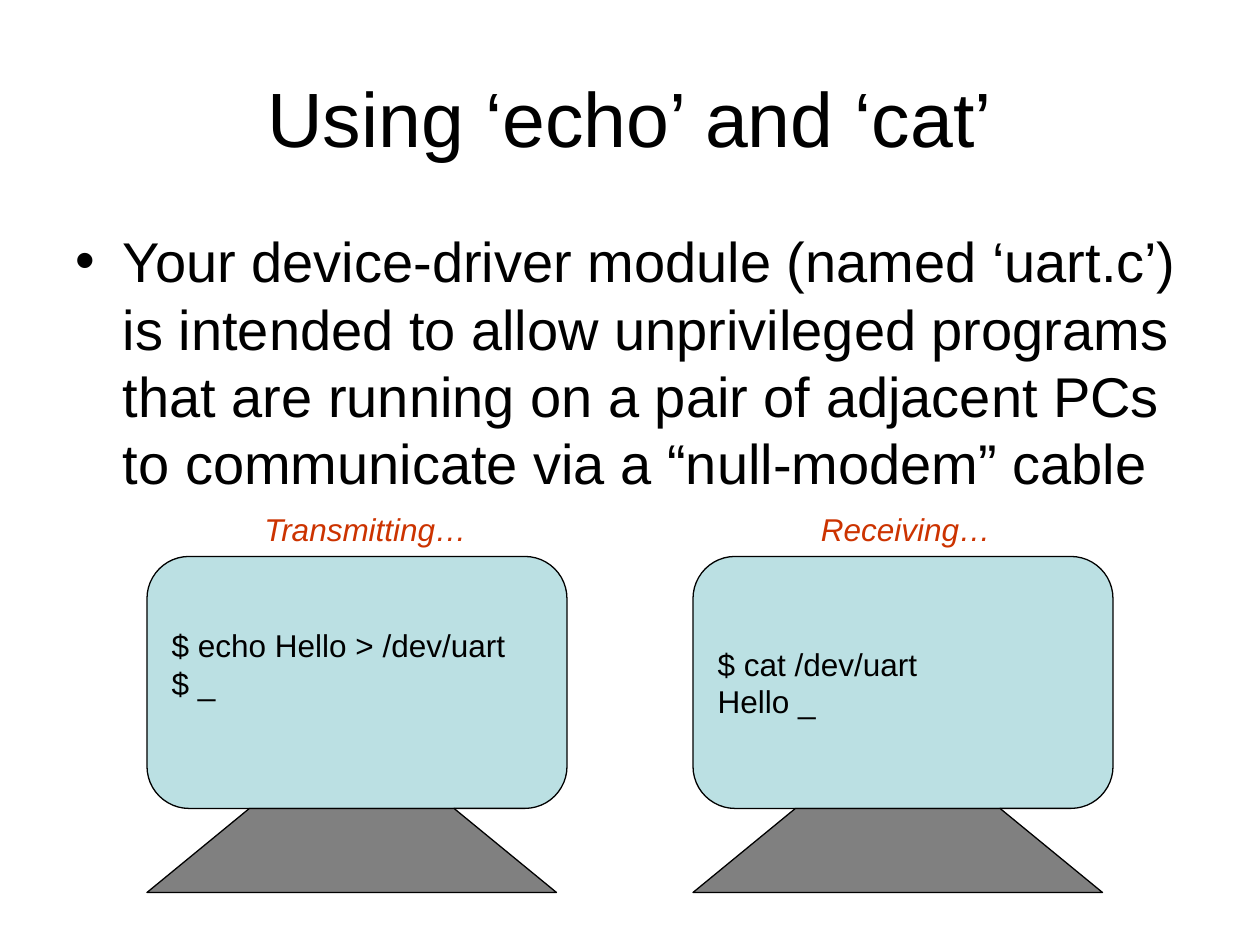
from pptx import Presentation
from pptx.dml.color import RGBColor
from pptx.enum.shapes import MSO_SHAPE as Shape
from pptx.enum.text import MSO_ANCHOR as Anchor, MSO_AUTO_SIZE as AutoSize, PP_ALIGN as Align
from pptx.util import Pt

COLORS = {"text": "000000", "label": "CC3300", "screen": "BBE0E3", "stand": "808080"}
SCREEN_TOP, SCREEN_WIDTH, SCREEN_HEIGHT = 318, 240, 144
STAND_WIDTH, STAND_HEIGHT = 234, 48
LABEL_TOP, LABEL_HEIGHT = 288, 29
COMPUTERS = [
    (84, "Transmitting…", 144, 131, ["$ echo Hello > /dev/uart", "$ _"], 24.3),
    (396, "Receiving…", 462, 112, ["$ cat /dev/uart", "Hello _"], 3.6),
]


def color(name):
    return RGBColor.from_string(COLORS[name])


def write(shape, lines, size, shade="text", align=Align.LEFT, italic=False):
    frame = shape.text_frame
    frame.text = "\n".join(lines)
    for para in frame.paragraphs:
        para.alignment = align
        para.space_before = Pt(0)
        for span in para.runs:
            span.font.name = "Arial"
            span.font.size = Pt(size)
            span.font.italic = italic
            span.font.color.rgb = color(shade)


def fill_placeholder(box, text, size, place, align, anchor):
    box.left, box.top, box.width, box.height = (Pt(value) for value in place)
    box.text_frame.auto_size = AutoSize.NONE
    box.text_frame.vertical_anchor = anchor
    write(box, [text], size, align=align)


def paint(shape, fill):
    shape.shadow.inherit = False
    shape.fill.solid()
    shape.fill.fore_color.rgb = color(fill)
    shape.line.color.rgb = color("text")
    shape.line.width = Pt(0.75)


def add_screen(page, left, lines, bottom_margin):
    screen = page.shapes.add_shape(
        Shape.ROUNDED_RECTANGLE, Pt(left), Pt(SCREEN_TOP), Pt(SCREEN_WIDTH), Pt(SCREEN_HEIGHT)
    )
    screen.adjustments[0] = 0.167
    paint(screen, "screen")
    screen.text_frame.word_wrap = True
    screen.text_frame.vertical_anchor = Anchor.MIDDLE
    screen.text_frame.margin_bottom = Pt(bottom_margin)
    write(screen, lines, 18)


def add_stand(page, left):
    top = SCREEN_TOP + SCREEN_HEIGHT
    bottom = top + STAND_HEIGHT
    right = left + STAND_WIDTH
    inset = STAND_WIDTH / 4
    builder = page.shapes.build_freeform(Pt(right), Pt(bottom))
    corners = [(left, bottom), (left + inset, top), (right - inset, top)]
    builder.add_line_segments([(Pt(x), Pt(y)) for x, y in corners], close=True)
    paint(builder.convert_to_shape(), "stand")


def add_label(page, text, left, width):
    box = page.shapes.add_textbox(Pt(left), Pt(LABEL_TOP), Pt(width), Pt(LABEL_HEIGHT))
    box.text_frame.word_wrap = False
    box.text_frame.auto_size = AutoSize.SHAPE_TO_FIT_TEXT
    write(box, [text], 18, "label", italic=True)


def main():
    deck = Presentation()
    deck.slide_width, deck.slide_height = Pt(720), Pt(540)
    page = deck.slides.add_slide(deck.slide_layouts[1])
    fill_placeholder(
        page.shapes.title, "Using ‘echo’ and ‘cat’", 44,
        (36, 21.6, 648, 90), Align.CENTER, Anchor.MIDDLE,
    )
    fill_placeholder(
        page.placeholders[1],
        "Your device-driver module (named ‘uart.c’) is intended to allow unprivileged "
        "programs that are running on a pair of adjacent PCs to communicate via a "
        "“null-modem” cable",
        32, (36, 126, 648, 356.4), Align.LEFT, Anchor.TOP,
    )
    for left, label, label_left, label_width, lines, bottom_margin in COMPUTERS:
        add_screen(page, left, lines, bottom_margin)
        add_stand(page, left)
        add_label(page, label, label_left, label_width)
    deck.save("out.pptx")


if __name__ == "__main__":
    main()
